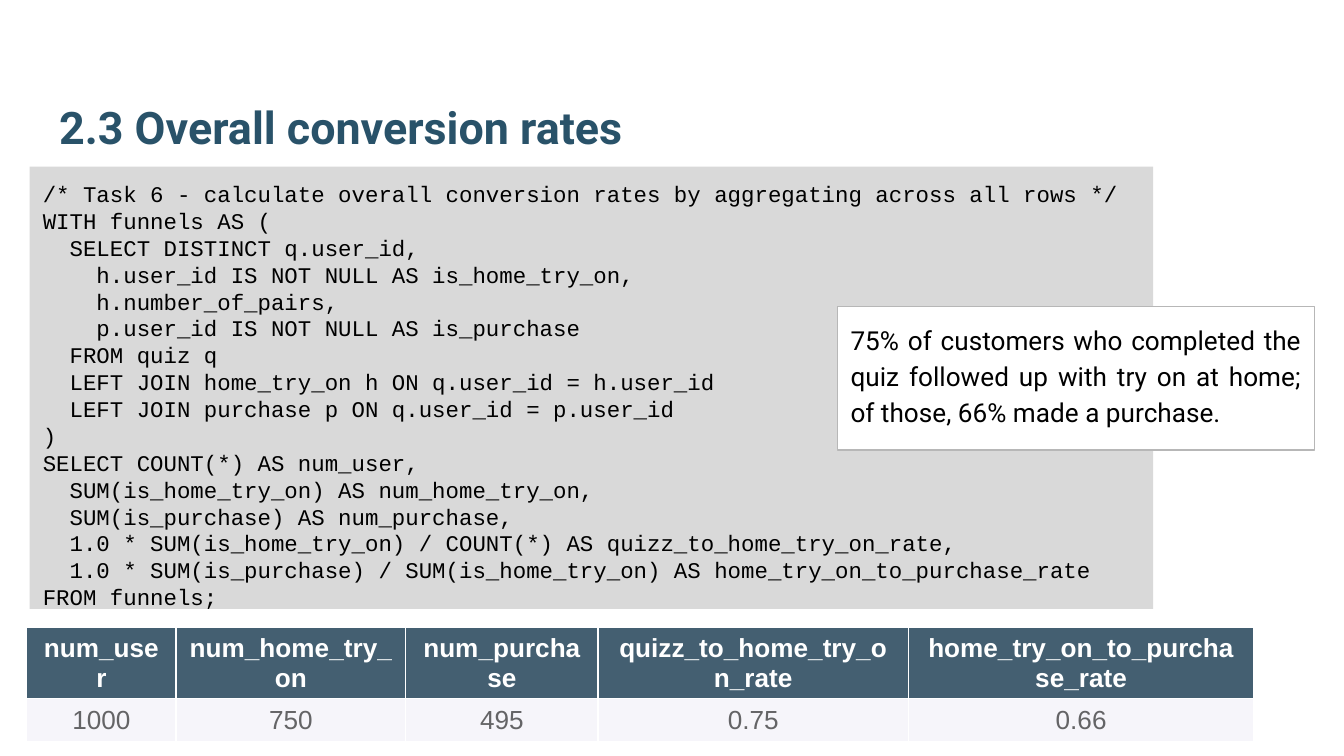
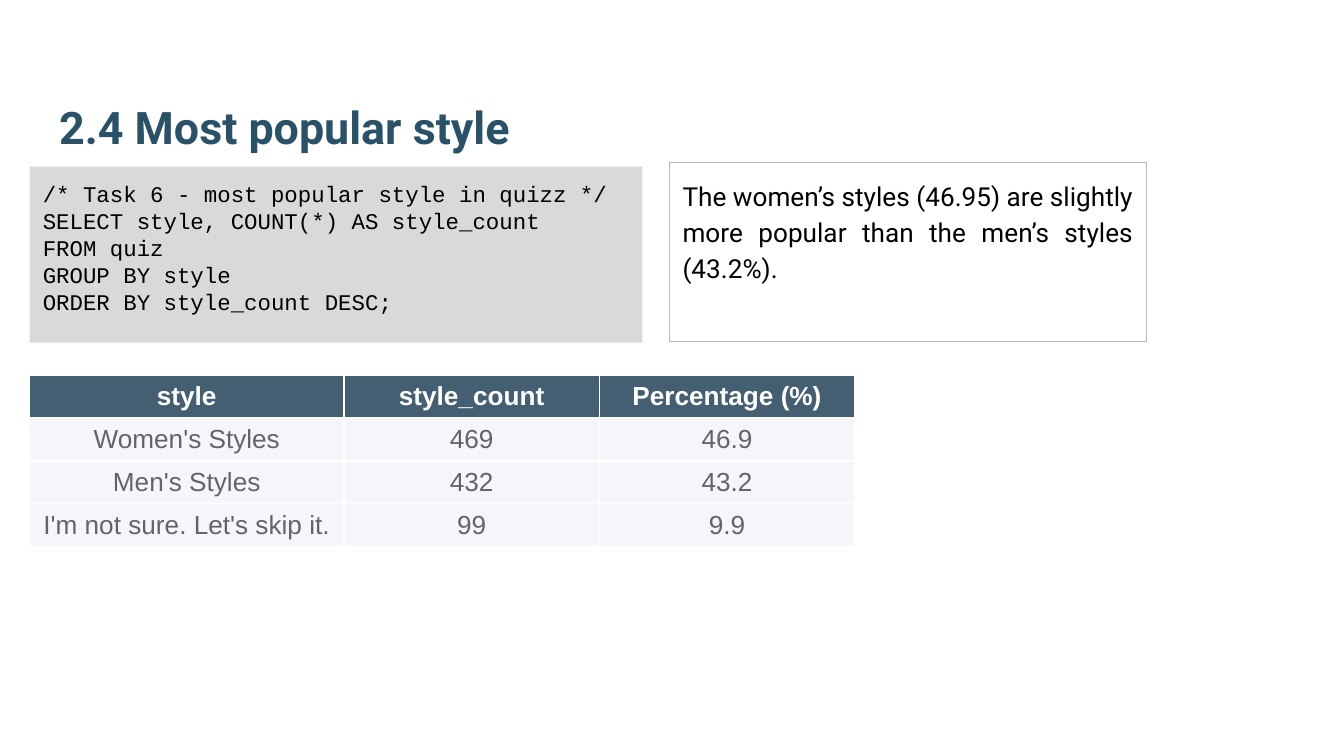
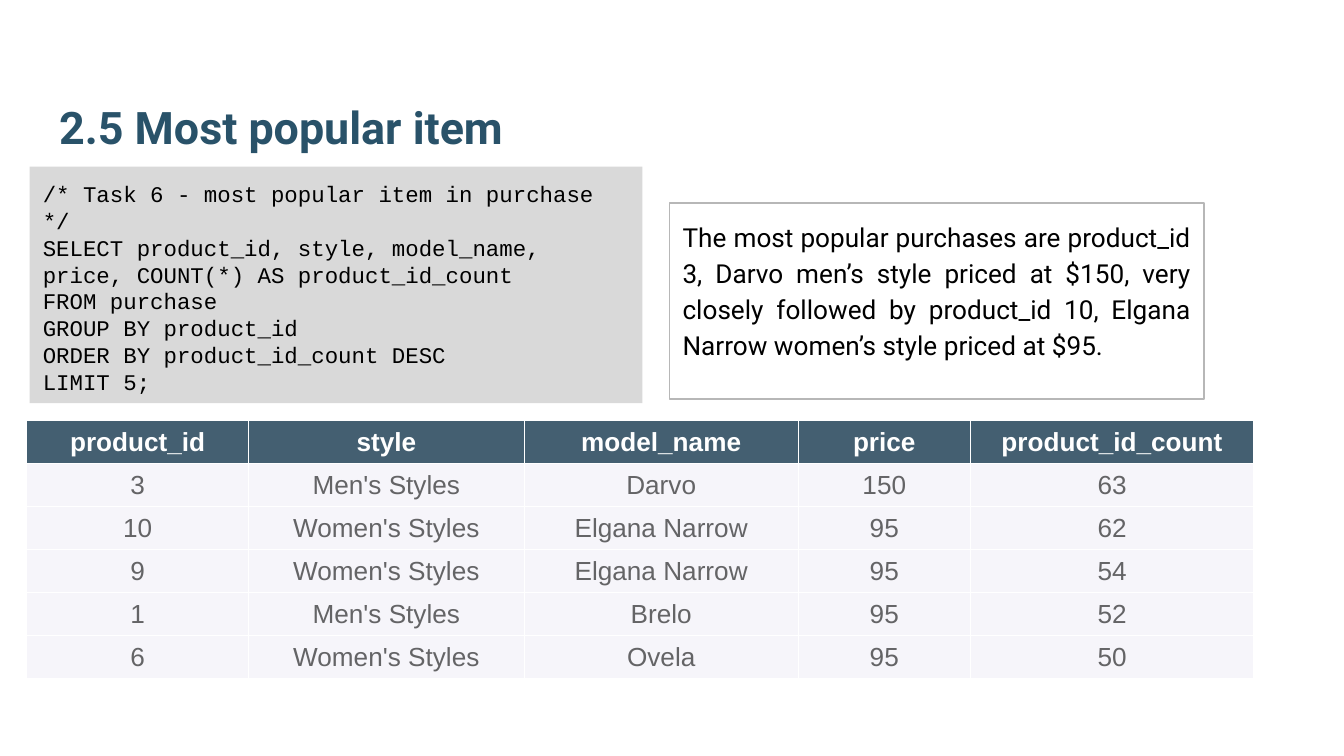
from lxml.etree import SubElement
from pptx import Presentation
from pptx.dml.color import RGBColor
from pptx.enum.shapes import MSO_SHAPE as SHAPE
from pptx.enum.text import MSO_ANCHOR as ANCHOR, MSO_AUTO_SIZE as FIT, PP_ALIGN as ALIGN
from pptx.oxml.ns import qn
from pptx.util import Emu, Pt

PX = 9144  # 100 px to the inch
COLORS = {
    "title": "295269", "ink": "000000", "white": "FFFFFF", "code": "D9D9D9",
    "border": "B7B7B7", "header": "445F71", "row": "F6F5FA", "cell": "646466",
}

FUNNEL_SQL = """\
/* Task 6 - calculate overall conversion rates by aggregating across all rows */
WITH funnels AS (
  SELECT DISTINCT q.user_id,
    h.user_id IS NOT NULL AS is_home_try_on,
    h.number_of_pairs,
    p.user_id IS NOT NULL AS is_purchase
  FROM quiz q
  LEFT JOIN home_try_on h ON q.user_id = h.user_id
  LEFT JOIN purchase p ON q.user_id = p.user_id
)
SELECT COUNT(*) AS num_user,
  SUM(is_home_try_on) AS num_home_try_on,
  SUM(is_purchase) AS num_purchase,
  1.0 * SUM(is_home_try_on) / COUNT(*) AS quizz_to_home_try_on_rate,
  1.0 * SUM(is_purchase) / SUM(is_home_try_on) AS home_try_on_to_purchase_rate
FROM funnels;"""

STYLE_SQL = """\
/* Task 6 - most popular style in quizz */
SELECT style, COUNT(*) AS style_count
FROM quiz
GROUP BY style
ORDER BY style_count DESC;"""

ITEM_SQL = """\
/* Task 6 - most popular item in purchase */
SELECT product_id, style, model_name, price, COUNT(*) AS product_id_count
FROM purchase
GROUP BY product_id
ORDER BY product_id_count DESC
LIMIT 5;"""


def px(n):
    return Emu(n * PX)


def rgb(name):
    return RGBColor.from_string(COLORS[name])


def write(tf, text, font="Arial", size=14, color="ink", bold=False,
          align=ALIGN.LEFT, spacing=None):
    """Fill a text frame with one paragraph per line of text."""
    for i, line in enumerate(text.split("\n")):
        p = tf.add_paragraph() if i else tf.paragraphs[0]
        p.alignment = align
        if spacing:
            p.line_spacing = spacing
        r = p.add_run()
        r.text = line
        r.font.name, r.font.size, r.font.bold = font, Pt(size), bold
        r.font.color.rgb = rgb(color)


def frame(tf, anchor=ANCHOR.TOP):
    """Give a text frame the shared insets and wrapping."""
    tf.word_wrap, tf.auto_size, tf.vertical_anchor = True, FIT.NONE, anchor
    tf.margin_left = tf.margin_right = tf.margin_top = tf.margin_bottom = px(10)


def border(cell, color="white", width=0.75):
    tcPr = cell._tc.get_or_add_tcPr()
    for i, side in enumerate(("lnL", "lnR", "lnT", "lnB")):
        ln = tcPr.makeelement(qn(f"a:{side}"), {"w": str(Pt(width))})
        fill = SubElement(ln, qn("a:solidFill"))
        SubElement(fill, qn("a:srgbClr"), val=COLORS[color])
        tcPr.insert(i, ln)


class Deck:
    def __init__(self):
        self.prs = Presentation()
        self.prs.slide_width = px(1000)
        self.prs.slide_height = Emu(px(1000) * 9 // 16)
        self.s = None

    def slide(self, title):
        self.s = self.prs.slides.add_slide(self.prs.slide_layouts[5])
        sp = self.s.shapes.title
        sp.left, sp.top, sp.width, sp.height = map(px, (34, 32, 932, 92))
        frame(sp.text_frame, ANCHOR.BOTTOM)
        write(sp.text_frame, title, font="Roboto", size=24, color="title", bold=True)

    def box(self, x, y, w, h, fill=None, line=None):
        sp = self.s.shapes.add_shape(SHAPE.RECTANGLE, *map(px, (x, y, w, h)))
        sp.shadow.inherit = False
        if fill:
            sp.fill.solid()
            sp.fill.fore_color.rgb = rgb(fill)
        else:
            sp.fill.background()
        if line:
            sp.line.color.rgb, sp.line.width = rgb(line), Pt(0.75)
        else:
            sp.line.fill.background()
        frame(sp.text_frame)
        return sp.text_frame

    def code(self, text, w, h):
        write(self.box(22, 124, w, h, fill="code"), text, font="Courier New", size=12)

    def note(self, text, x, y, w, h, fill=None):
        tf = self.box(x, y, w, h, fill=fill, line="border")
        write(tf, text, font="Roboto", align=ALIGN.JUSTIFY, spacing=1.15)

    def table(self, rows, x, y, cols, header_h=32, row_h=32):
        heights = [header_h] + [row_h] * (len(rows) - 1)
        tbl = self.s.shapes.add_table(
            len(rows), len(cols), *map(px, (x, y, sum(cols), sum(heights)))).table
        for col, w in zip(tbl.columns, cols):
            col.width = px(w)
        for i, (values, h) in enumerate(zip(rows, heights)):
            tbl.rows[i].height = px(h)
            head = i == 0
            for j, value in enumerate(values):
                cell = tbl.cell(i, j)
                cell.fill.solid()
                cell.fill.fore_color.rgb = rgb("header" if head else "row")
                cell.vertical_anchor = ANCHOR.MIDDLE
                cell.margin_top = cell.margin_bottom = px(4)
                cell.margin_left = cell.margin_right = px(10)
                border(cell)
                write(cell.text_frame, value, color="white" if head else "cell",
                      bold=head, align=ALIGN.CENTER)


def main():
    d = Deck()

    d.slide("2.3 Overall conversion rates")
    d.code(FUNNEL_SQL, 836, 329)
    d.table([
        ("num_user", "num_home_try_on", "num_purchase",
         "quizz_to_home_try_on_rate", "home_try_on_to_purchase_rate"),
        ("1000", "750", "495", "0.75", "0.66"),
    ], 20, 467, (111, 171, 143, 231, 257), header_h=53)
    d.note("75% of customers who completed the quiz followed up with try on at home; "
           "of those, 66% made a purchase.", 623, 228, 355, 107, fill="white")

    d.slide("2.4 Most popular style")
    d.code(STYLE_SQL, 456, 131)
    d.table([
        ("style", "style_count", "Percentage (%)"),
        ("Women's Styles", "469", "46.9"),
        ("Men's Styles", "432", "43.2"),
        ("I'm not sure. Let's skip it.", "99", "9.9"),
    ], 22, 279, (234, 190, 190))
    d.note("The women’s styles (46.95) are slightly more popular than "
           "the men’s styles (43.2%).", 498, 121, 355, 133)

    d.slide("2.5 Most popular item")
    d.code(ITEM_SQL, 456, 176)
    d.note("The most popular purchases are product_id 3, Darvo men’s style priced at $150, "
           "very closely followed by product_id 10, Elgana Narrow women’s style "
           "priced at $95.", 498, 151, 398, 146)
    d.table([
        ("product_id", "style", "model_name", "price", "product_id_count"),
        ("3", "Men's Styles", "Darvo", "150", "63"),
        ("10", "Women's Styles", "Elgana Narrow", "95", "62"),
        ("9", "Women's Styles", "Elgana Narrow", "95", "54"),
        ("1", "Men's Styles", "Brelo", "95", "52"),
        ("6", "Women's Styles", "Ovela", "95", "50"),
    ], 20, 313, (165, 205, 204, 128, 211))

    d.prs.save("out.pptx")


if __name__ == "__main__":
    main()
